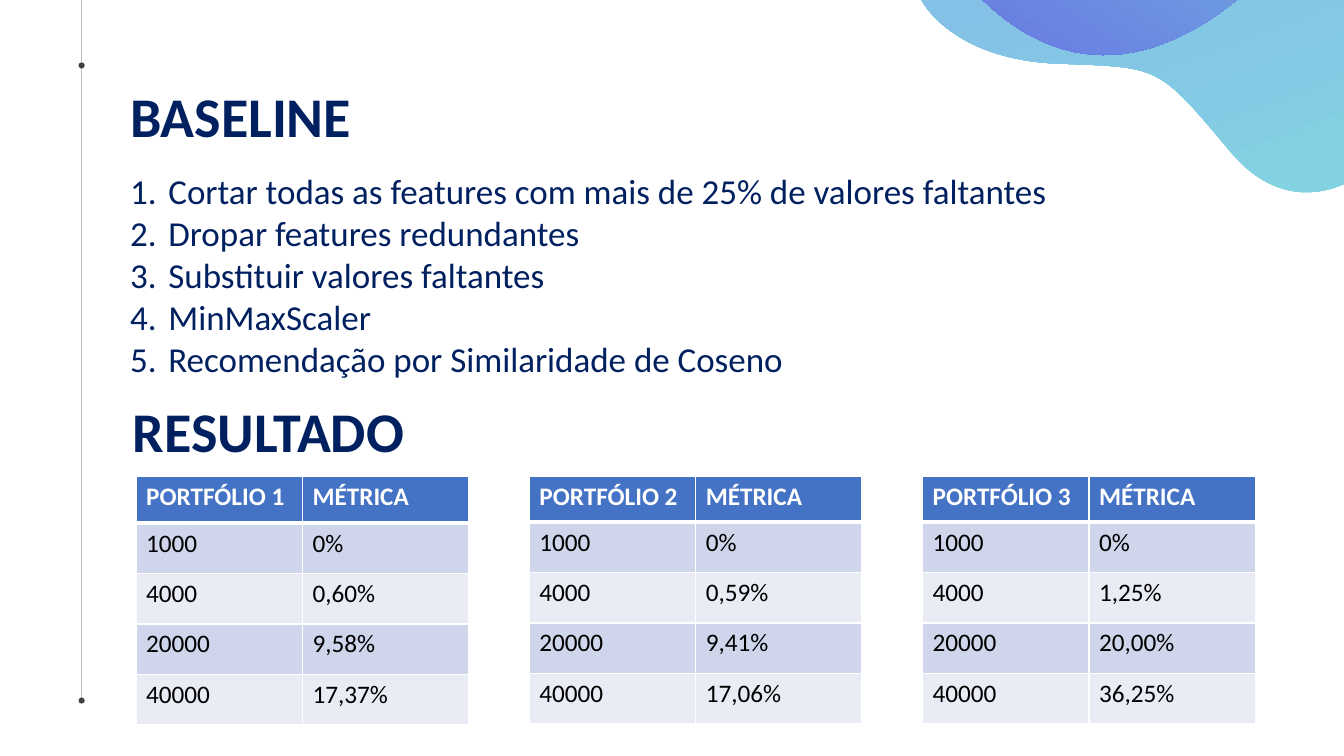
from dataclasses import dataclass
from math import cos, radians, sin

from lxml.etree import SubElement
from pptx import Presentation
from pptx.dml.color import RGBColor
from pptx.enum.shapes import MSO_CONNECTOR, MSO_SHAPE
from pptx.enum.text import MSO_AUTO_SIZE
from pptx.oxml.ns import qn
from pptx.util import Emu, Pt

PX = 9144  # EMU per px, 100 px to the inch
FONT = "Calibri"
COLORS = {
    "navy": "002060", "white": "FFFFFF", "black": "000000", "rule": "BFBFBF", "dot": "404040",
    "header": "4472C4", "band_dark": "CFD5EA", "band_light": "E9EBF5",
    "teal": "80DEDE", "sky": "85C1E7", "lilac": "878CFF",
    "violet": "882BE5", "indigo": "6672E4", "mint": "7CEFD8",
}
Box = tuple[int, int, int, int]


@dataclass
class Blob:
    box: Box  # before it is turned
    start: tuple[int, int]
    curves: list[tuple[int, ...]]  # two control points and an end point each
    stops: list[tuple[int, str]]
    angle: int


@dataclass
class Portfolio:
    number: int
    header_height: int
    metrics: list[str]


BLOB_ROTATION = 113.6
BLOBS = [
    Blob((971, -400, 502, 667), (1089, -143), [
        (1272, 11, 1307, -197, 1441, -192), (1575, -187, 1599, -112, 1590, -82),
        (1580, -52, 1561, -36, 1511, -47), (1461, -57, 1429, 38, 1407, 102),
        (1384, 167, 1292, 237, 1220, 150), (1147, 63, 1151, 67, 1047, 63),
        (942, 58, 914, 0, 914, 0), (914, 0, 873, -100, 944, -155),
        (1015, -210, 1089, -143, 1089, -143),
    ], [(0, "teal"), (54, "sky"), (100, "lilac")], 136),
    Blob((978, -371, 438, 586), (979, 4), [
        (922, -48, 902, -93, 898, -125), (904, -138, 914, -150, 927, -160),
        (998, -215, 1071, -149, 1071, -149), (1255, 6, 1290, -203, 1424, -198),
        (1460, -196, 1488, -190, 1509, -181), (1511, -176, 1511, -170, 1511, -165),
        (1514, -73, 1442, -102, 1382, -96), (1323, -90, 1310, -81, 1268, -38),
        (1226, 4, 1106, 121, 979, 4),
    ], [(0, "violet"), (19, "indigo"), (100, "mint")], 190),
]
STEPS = [
    "Cortar todas as features com mais de 25% de valores faltantes",
    "Dropar features redundantes",
    "Substituir valores faltantes",
    "MinMaxScaler",
    "Recomendação por Similaridade de Coseno",
]
AMOUNTS = ["1000", "4000", "20000", "40000"]
PORTFOLIOS = [
    Portfolio(1, 46, ["0%", "0,60%", "9,58%", "17,37%"]),
    Portfolio(2, 45, ["0%", "0,59%", "9,41%", "17,06%"]),
    Portfolio(3, 45, ["0%", "1,25%", "20,00%", "36,25%"]),
]
TABLE_LEFT, TABLE_TOP, TABLE_PITCH = 135, 473, 390
COLUMN_WIDTH, ROW_HEIGHT = 165, 50


def px(n: float) -> Emu:
    return Emu(round(n * PX))


def rgb(name: str) -> RGBColor:
    return RGBColor.from_string(COLORS[name])


def write(p, text: str, *, size: int, color: str = "navy", bold: bool = False) -> None:
    r = p.add_run()
    r.text = text
    r.font.name, r.font.size, r.font.bold = FONT, Pt(size), bold
    r.font.color.rgb = rgb(color)


def add_text(slide, box: Box, lines: list[str], *, size: int, bold: bool = False,
             inset: bool = False, wrap: bool = True, numbered: bool = False) -> None:
    tf = slide.shapes.add_textbox(*map(px, box)).text_frame
    tf.word_wrap = wrap
    tf.auto_size = MSO_AUTO_SIZE.SHAPE_TO_FIT_TEXT
    if not inset:
        tf.margin_left = tf.margin_top = tf.margin_right = tf.margin_bottom = 0
    for i, line in enumerate(lines):
        p = tf.paragraphs[0] if i == 0 else tf.add_paragraph()
        if numbered:
            pr = p._p.get_or_add_pPr()
            pr.set("marL", str(px(38)))
            pr.set("indent", str(px(-38)))
            SubElement(pr, qn("a:buFont"), typeface="+mj-lt")
            SubElement(pr, qn("a:buAutoNum"), type="arabicPeriod")
        write(p, line, size=size, bold=bold)


def add_dot(slide, left: int, top: int) -> None:
    s = slide.shapes.add_shape(MSO_SHAPE.OVAL, px(left), px(top), px(6), px(6))
    s.shadow.inherit = False
    s.fill.solid()
    s.fill.fore_color.rgb = rgb("dot")
    s.line.fill.background()


def add_rule(slide, x: int, top: int, bottom: int) -> None:
    line = slide.shapes.add_connector(MSO_CONNECTOR.STRAIGHT, px(x), px(top), px(x), px(bottom))
    line.line.color.rgb = rgb("rule")
    line.line.width = Pt(0.5)
    SubElement(line._element.spPr, qn("a:effectLst"))


def turn_back(x: float, y: float, box: Box) -> tuple[Emu, Emu]:
    """Position inside the unturned box of a point on the slide."""
    left, top, width, height = box
    a = radians(-BLOB_ROTATION)
    dx, dy = x - left - width / 2, y - top - height / 2
    return px(width / 2 + dx * cos(a) - dy * sin(a)), px(height / 2 + dx * sin(a) + dy * cos(a))


def draw_curves(s, blob: Blob) -> None:
    outline = next(s._element.iter(qn("a:path")))
    outline.clear()
    outline.set("w", str(px(blob.box[2])))
    outline.set("h", str(px(blob.box[3])))
    for tag, numbers in [("moveTo", blob.start), *(("cubicBezTo", c) for c in blob.curves)]:
        command = SubElement(outline, qn(f"a:{tag}"))
        for point in zip(numbers[::2], numbers[1::2]):
            x, y = turn_back(*point, blob.box)
            SubElement(command, qn("a:pt"), x=str(x), y=str(y))
    SubElement(outline, qn("a:close"))


def add_blob(slide, blob: Blob) -> None:
    builder = slide.shapes.build_freeform(*map(px, blob.start))
    builder.add_line_segments([(px(c[4]), px(c[5])) for c in blob.curves], close=True)
    s = builder.convert_to_shape()
    s.left, s.top, s.width, s.height = map(px, blob.box)
    draw_curves(s, blob)
    s.rotation = BLOB_ROTATION
    s.shadow.inherit = False
    s.line.fill.background()
    s.fill.gradient()
    s.fill.gradient_angle = 360 - blob.angle
    stops = s._element.spPr.find(qn("a:gradFill")).find(qn("a:gsLst"))
    stops.clear()
    for position, color in blob.stops:
        gs = SubElement(stops, qn("a:gs"), pos=str(position * 1000))
        SubElement(gs, qn("a:srgbClr"), val=COLORS[color])


def set_borders(cell, bottom: int) -> None:
    pr = cell._tc.get_or_add_tcPr()
    for i, (side, width) in enumerate(zip("LRTB", (1, 1, 1, bottom))):
        ln = pr.makeelement(qn(f"a:ln{side}"), {"w": str(Pt(width))})
        SubElement(SubElement(ln, qn("a:solidFill")), qn("a:srgbClr"), val=COLORS["white"])
        pr.insert(i, ln)


def add_portfolio(slide, index: int, portfolio: Portfolio) -> None:
    rows = [(f"PORTFÓLIO {portfolio.number}", "MÉTRICA"), *zip(AMOUNTS, portfolio.metrics)]
    heights = [portfolio.header_height] + [ROW_HEIGHT] * len(AMOUNTS)
    table = slide.shapes.add_table(len(rows), 2, px(TABLE_LEFT + index * TABLE_PITCH), px(TABLE_TOP),
                                   px(2 * COLUMN_WIDTH), px(sum(heights))).table
    for column in table.columns:
        column.width = px(COLUMN_WIDTH)
    for i, (row, height) in enumerate(zip(rows, heights)):
        table.rows[i].height = px(height)
        header = i == 0
        fill = "header" if header else "band_dark" if i % 2 else "band_light"
        for j, text in enumerate(row):
            cell = table.cell(i, j)
            cell.fill.solid()
            cell.fill.fore_color.rgb = rgb(fill)
            set_borders(cell, bottom=3 if header else 1)
            write(cell.text_frame.paragraphs[0], text, size=18,
                  color="white" if header else "black", bold=header)


def main() -> None:
    prs = Presentation()
    prs.slide_width, prs.slide_height = px(1333), px(750)
    slide = prs.slides.add_slide(prs.slide_layouts[6])

    # Title, side rule and steps
    add_text(slide, (129, 81, 530, 67), ["BASELINE"], size=40, bold=True)
    add_rule(slide, 81, 0, 695)
    add_text(slide, (129, 168, 1095, 291), STEPS, size=25, numbered=True)
    for top in (692, 62):
        add_dot(slide, 78, top)

    # Corner decoration
    for blob in BLOBS:
        add_blob(slide, blob)

    # Results
    add_text(slide, (122, 388, 292, 77), ["RESULTADO"], size=40, bold=True, inset=True, wrap=False)
    for index, portfolio in enumerate(PORTFOLIOS):
        add_portfolio(slide, index, portfolio)

    prs.save("out.pptx")


if __name__ == "__main__":
    main()
